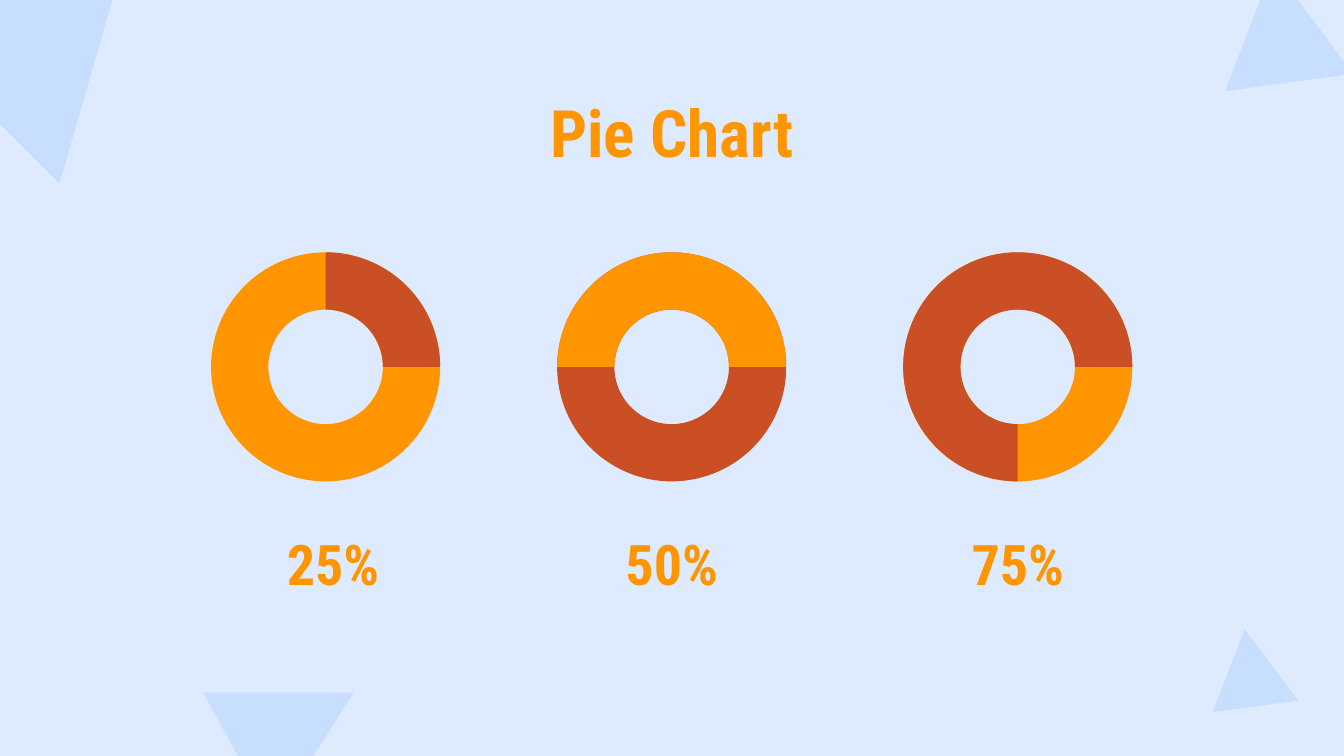
from dataclasses import dataclass

from pptx import Presentation
from pptx.dml.color import RGBColor
from pptx.enum.shapes import MSO_SHAPE
from pptx.enum.text import MSO_ANCHOR, PP_ALIGN
from pptx.util import Cm, Pt


@dataclass(frozen=True)
class Theme:
    font: str = "Roboto Condensed"
    background: str = "DEEBFF"
    triangle: str = "C8DEFF"
    orange: str = "FF9500"
    rust: str = "CA4F24"
    title_size: float = 35
    label_size: float = 30


THEME = Theme()


def add_shape(shapes, kind, box, color):
    """Add a flat preset shape; box is left, top, width, height in cm."""
    sp = shapes.add_shape(kind, *map(Cm, box))
    sp.shadow.inherit = False
    sp.fill.solid()
    sp.fill.fore_color.rgb = RGBColor.from_string(color)
    sp.line.fill.background()
    return sp


def set_text(sp, text, *, size, color=THEME.orange, bold=True,
             align=PP_ALIGN.CENTER, anchor=MSO_ANCHOR.MIDDLE):
    tf = sp.text_frame
    tf.word_wrap = True
    tf.vertical_anchor = anchor
    tf.margin_left = tf.margin_right = Cm(0.25)
    tf.margin_top = tf.margin_bottom = Cm(0.25)
    p = tf.paragraphs[0]
    p.alignment = align
    r = p.add_run()
    r.text = text
    r.font.name = THEME.font
    r.font.size = Pt(size)
    r.font.bold = bold
    r.font.color.rgb = RGBColor.from_string(color)


def add_background(s):
    s.background.fill.solid()
    s.background.fill.fore_color.rgb = RGBColor.from_string(THEME.background)
    # Corner triangles: box and rotation
    for box, rotation in (
        ((22.81, 11.89, 1.63, 1.47), 352.2),
        ((4.22, 12.45, 2.74, 2.49), 61.2),
        ((-1.63, -2.34, 5.16, 4.67), 45),
        ((22.99, -0.64, 2.44, 2.21), 352.2),
    ):
        sp = add_shape(s.shapes, MSO_SHAPE.ISOSCELES_TRIANGLE, box, THEME.triangle)
        sp.rotation = rotation


def add_title(s, text, box):
    sp = s.shapes.title
    sp.left, sp.top, sp.width, sp.height = map(Cm, box)
    set_text(sp, text, size=THEME.title_size, anchor=MSO_ANCHOR.TOP)


def add_ring(s, percent, box, *, ring, arc, label_shift=0):
    """Draw a ring with an arc ending at three o'clock and a label below."""
    left, top, size, height = box
    ring_box = (left, top, size, size)
    group = s.shapes.add_group_shape()
    add_shape(group.shapes, MSO_SHAPE.DONUT, ring_box, ring)
    sp = add_shape(group.shapes, MSO_SHAPE.BLOCK_ARC, ring_box, arc)
    # Angles are stored in 1/60000 degree, and adjustments in 1/100000
    start = 360 * (1 - percent / 100)
    sp.adjustments[0] = start * 0.6
    sp.adjustments[1] = 0
    sp.adjustments[2] = 0.25

    # Percentage label, centred under the ring
    width, label_height = 3.2, 0.76
    label_left = left + (size - width) / 2 + label_shift
    label = s.shapes.add_textbox(Cm(label_left), Cm(top + height - label_height),
                                 Cm(width), Cm(label_height))
    set_text(label, f"{percent}%", size=THEME.label_size)


def add_rings(s, box):
    """Spread three rings evenly over the box."""
    left, top, width, height = box
    size = 4.33
    pitch = (width - size) / 2
    rings = (
        (25, THEME.orange, THEME.rust, 0.14),
        (50, THEME.rust, THEME.orange, 0),
        (75, THEME.orange, THEME.rust, 0),
    )
    for i, (percent, ring, arc, shift) in enumerate(rings):
        add_ring(s, percent, (left + i * pitch, top, size, height),
                 ring=ring, arc=arc, label_shift=shift)


def main():
    prs = Presentation()
    prs.slide_width, prs.slide_height = Cm(25.4), Cm(14.29)
    s = prs.slides.add_slide(prs.slide_layouts[5])  # title only
    add_background(s)
    add_title(s, "Pie Chart", (1.98, 1.5, 21.44, 1.75))
    add_rings(s, (3.99, 4.77, 17.41, 6.25))
    prs.save("out.pptx")


if __name__ == "__main__":
    main()
